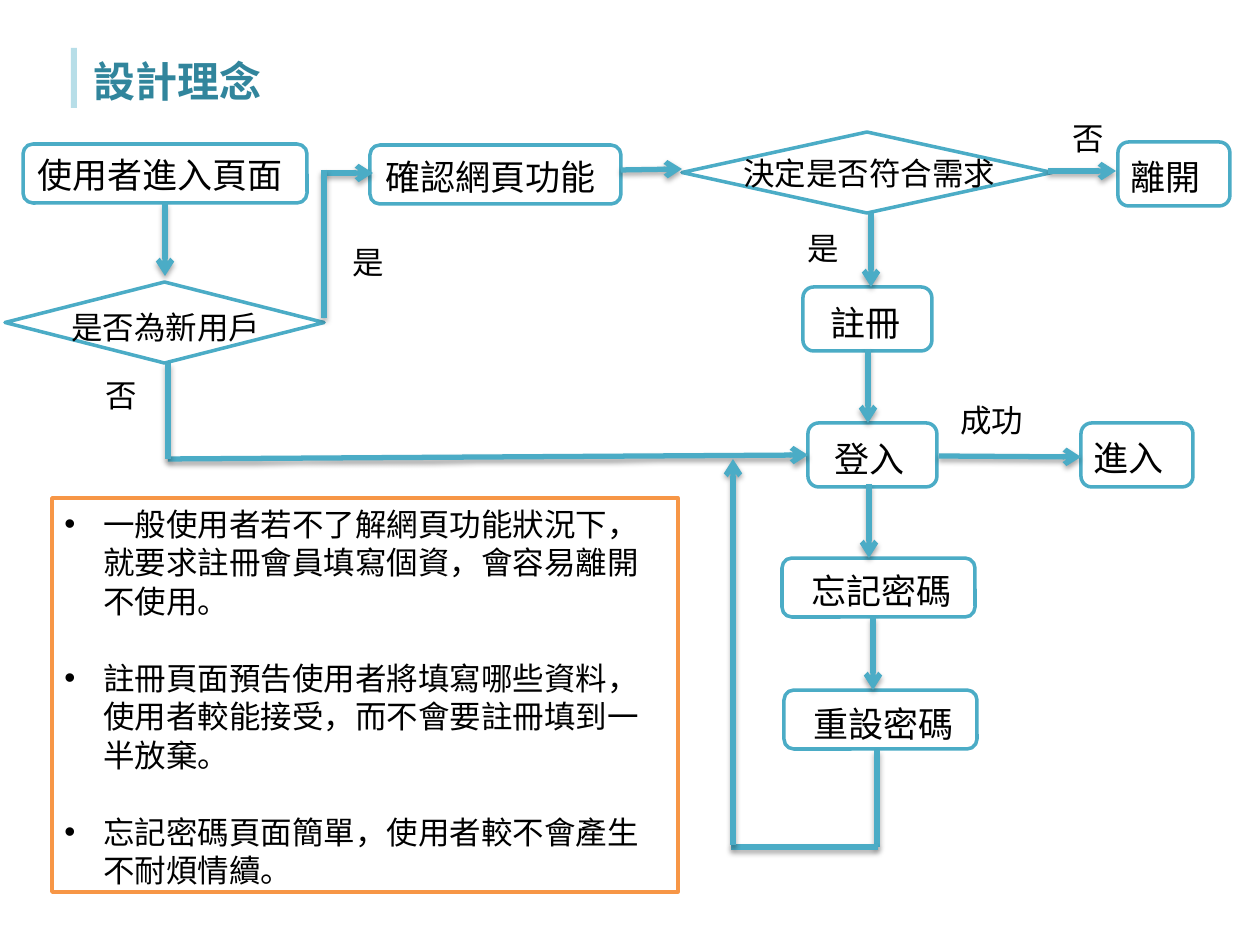
from lxml.etree import SubElement
from pptx import Presentation
from pptx.dml.color import RGBColor
from pptx.enum.shapes import MSO_CONNECTOR, MSO_SHAPE
from pptx.enum.text import MSO_ANCHOR, PP_ALIGN
from pptx.oxml import parse_xml
from pptx.oxml.ns import nsdecls, qn
from pptx.util import Pt

SCALE = 914400 / 126  # EMU per px
FONT = "Noto Sans CJK SC"
LINE_HEIGHT = 1.22

BLACK = RGBColor(0x00, 0x00, 0x00)
WHITE = RGBColor(0xFF, 0xFF, 0xFF)
TEAL = RGBColor(0x4B, 0xAC, 0xC6)
DARK_TEAL = RGBColor(0x31, 0x85, 0x9C)
PALE_TEAL = RGBColor(0xB7, 0xDE, 0xE8)
ORANGE = RGBColor(0xF7, 0x96, 0x46)

ROUND = MSO_SHAPE.ROUNDED_RECTANGLE
DIAMOND = MSO_SHAPE.DIAMOND

# Outline, place of the outline, text, place of the text, text size
STEPS = [
    (ROUND, (23, 144, 284, 59), "使用者進入頁面", (25, 147, 333, 55), 20),
    (ROUND, (370, 145, 251, 59), "確認網頁功能", (373, 149, 292, 55), 20),
    (DIAMOND, (682, 132, 370, 81), "決定是否符合需求", (731, 147, 357, 50), 18),
    (ROUND, (1118, 142, 112, 64), "離開", (1118, 149, 170, 55), 20),
    (ROUND, (803, 287, 129, 64), "註冊", (818, 295, 113, 55), 20),
    (ROUND, (808, 423, 129, 64), "登入", (822, 431, 113, 55), 20),
    (DIAMOND, (5, 282, 319, 81), "是否為新用戶", (59, 301, 218, 50), 18),
    (ROUND, (782, 558, 193, 59), "忘記密碼", (799, 563, 175, 55), 20),
    (ROUND, (1081, 423, 112, 64), "進入", (1081, 430, 170, 55), 20),
    (ROUND, (784, 690, 193, 59), "重設密碼", (801, 696, 175, 55), 20),
]

BRANCH_LABELS = [
    ("是", (795, 222, 52, 50)),
    ("否", (1060, 112, 52, 50)),
    ("是", (340, 236, 52, 50)),
    ("否", (93, 369, 52, 50)),
    ("成功", (948, 394, 112, 50)),
]

# Start, end, whether the end has an arrowhead
FLOWS = [
    ((165, 203), (165, 276), True),
    ((621, 170), (682, 169), True),
    ((871, 213), (871, 287), True),
    ((1048, 171), (1116, 171), True),
    ((868, 349), (868, 423), True),
    ((324, 173), (373, 173), True),
    ((324, 170), (324, 318), False),
    ((168, 459), (808, 455), True),
    ((168, 363), (168, 459), False),
    ((939, 456), (1081, 457), True),
    ((869, 484), (869, 558), True),
    ((873, 617), (873, 690), True),
    ((877, 750), (877, 847), False),
    ((878, 847), (731, 847), False),
    ((733, 845), (733, 459), True),
]

NOTES = [
    "一般使用者若不了解網頁功能狀況下，就要求註冊會員填寫個資，會容易離開不使用。",
    "註冊頁面預告使用者將填寫哪些資料，使用者較能接受，而不會要註冊填到一半放棄。",
    "忘記密碼頁面簡單，使用者較不會產生不耐煩情續。",
]


def px(*lengths):
    return [round(length * SCALE) for length in lengths]


def write(para, text, size=18, color=BLACK, bold=False):
    para.alignment = PP_ALIGN.LEFT
    para.line_spacing = Pt(round(size * LINE_HEIGHT, 1))
    span = para.add_run()
    span.text = text
    font = span.font
    font.name, font.size, font.bold = FONT, Pt(size), bold
    font.color.rgb = color
    SubElement(span._r.get_or_add_rPr(), qn("a:ea")).set("typeface", FONT)


def add_text(page, place, text, **style):
    box = page.shapes.add_textbox(*px(*place))
    box.text_frame.word_wrap = True
    write(box.text_frame.paragraphs[0], text, **style)


def add_box(page, kind, place, fill=WHITE, outline=None):
    box = page.shapes.add_shape(kind, *px(*place))
    box.shadow.inherit = False
    box.fill.solid()
    box.fill.fore_color.rgb = fill
    if outline is None:
        box.line.fill.background()
    else:
        box.line.color.rgb = outline
        box.line.width = Pt(2)
    return box


def add_flow(page, start, end, arrow):
    flow = page.shapes.add_connector(MSO_CONNECTOR.STRAIGHT, *px(*start, *end))
    flow.line.color.rgb = TEAL
    flow.line.width = Pt(3)
    if arrow:
        SubElement(flow.line._get_or_add_ln(), qn("a:tailEnd")).set("type", "arrow")
    flow._element.spPr.append(parse_xml(
        f'<a:effectLst {nsdecls("a")}>'
        '<a:outerShdw blurRad="39370" dist="22860" dir="5400000" rotWithShape="0">'
        '<a:srgbClr val="000000"><a:alpha val="35000"/></a:srgbClr>'
        '</a:outerShdw></a:effectLst>'))


def add_bullets(box, items, size=18, indent=39):
    frame = box.text_frame
    frame.word_wrap = True
    frame.vertical_anchor = MSO_ANCHOR.TOP
    for index, item in enumerate(items):
        para = frame.paragraphs[0] if index == 0 else frame.add_paragraph()
        write(para, item, size=size)
        if index:
            para.space_before = Pt(round(size * LINE_HEIGHT, 1))
        properties = para._p.get_or_add_pPr()
        hanging, = px(indent)
        properties.set("marL", str(hanging))
        properties.set("indent", str(-hanging))
        SubElement(properties, qn("a:buFont")).set("typeface", "Arial")
        SubElement(properties, qn("a:buChar")).set("char", "•")


def main():
    deck = Presentation()
    deck.slide_width, deck.slide_height = px(1260, 945)
    page = deck.slides.add_slide(deck.slide_layouts[6])

    # Title with its accent bar
    add_box(page, MSO_SHAPE.RECTANGLE, (71, 48, 6, 60), fill=PALE_TEAL)
    add_text(page, (81, 48, 501, 63), "設計理念", size=24, color=DARK_TEAL, bold=True)

    # Flowchart
    for kind, place, text, text_place, size in STEPS:
        add_box(page, kind, place, outline=TEAL)
        add_text(page, text_place, text, size=size)
    for text, place in BRANCH_LABELS:
        add_text(page, place, text)
    for start, end, arrow in FLOWS:
        add_flow(page, start, end, arrow)

    # Design notes
    notes = add_box(page, MSO_SHAPE.RECTANGLE, (52, 498, 626, 394), outline=ORANGE)
    add_bullets(notes, NOTES)

    deck.save("out.pptx")


if __name__ == "__main__":
    main()
